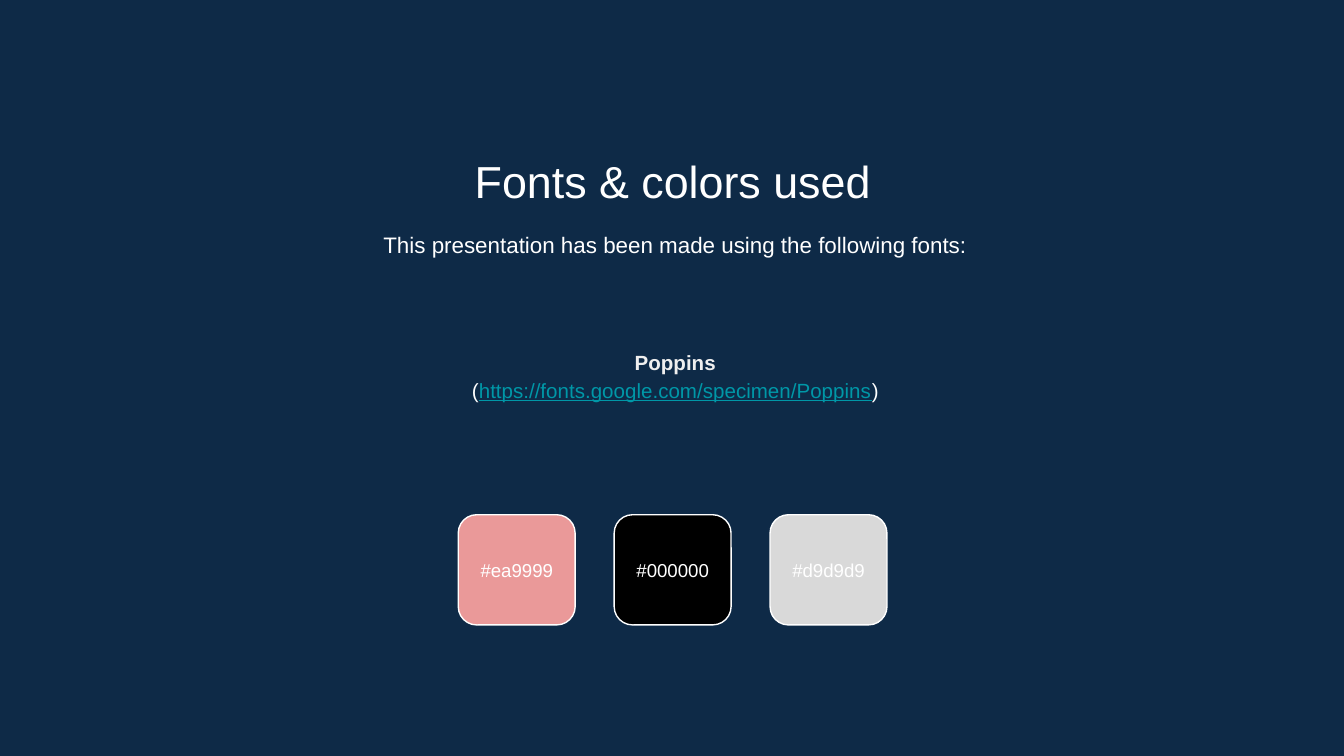
"""Build a centred slide listing the font and the colour swatches of a deck."""
from dataclasses import dataclass

from lxml.etree import SubElement
from pptx import Presentation
from pptx.dml.color import RGBColor as Color
from pptx.enum.shapes import MSO_SHAPE as Shape
from pptx.enum.text import MSO_ANCHOR as Anchor, MSO_AUTO_SIZE as AutoSize, PP_ALIGN as Align
from pptx.oxml.ns import qn
from pptx.util import Inches, Pt


@dataclass(frozen=True)
class Theme:
    font: str = "Arial"
    background: str = "0E2A47"
    text: str = "FFFFFF"
    name: str = "EFEFEF"
    link: str = "0097A7"
    title_size: int = 24
    intro_size: int = 12
    font_size: int = 11
    label_size: int = 10


def format_frame(box, size, anchor, spacing=1.0):
    frame = box.text_frame
    frame.word_wrap = True
    frame.auto_size = AutoSize.NONE
    frame.vertical_anchor = anchor
    frame.margin_left = frame.margin_right = Inches(0.1)
    frame.margin_top = frame.margin_bottom = Inches(0.1)
    for para in frame.paragraphs:
        para.alignment = Align.CENTER
        para.line_spacing = spacing
        para.space_before = Pt(0)
        if box.is_placeholder:
            properties = para._p.get_or_add_pPr()
            properties.set("marL", "0")
            properties.set("indent", "0")
            SubElement(properties, qn("a:buNone"))
        for span in para.runs:
            span.font.name = theme.font
            span.font.size = Pt(size)
            span.font.color.rgb = Color.from_string(theme.text)


def place(box, left, top, width, height):
    box.left, box.top = Inches(left), Inches(top)
    box.width, box.height = Inches(width), Inches(height)


theme = Theme()
slide_width = 10
deck = Presentation()
deck.slide_width, deck.slide_height = Inches(slide_width), Inches(slide_width * 9 / 16)
page = deck.slides.add_slide(deck.slide_layouts[3])
page.background.fill.solid()
page.background.fill.fore_color.rgb = Color.from_string(theme.background)

title, intro, fonts = page.placeholders
text_width = 7.71
place(title, 1.15, 1.04, text_width, 0.53)
title.text_frame.text = "Fonts & colors used"
format_frame(title, theme.title_size, Anchor.TOP)

place(intro, 1.17, 1.59, text_width, 0.48)
intro.text_frame.text = "This presentation has been made using the following fonts:"
format_frame(intro, theme.intro_size, Anchor.TOP, 1.15)

place(fonts, 1.17, 2.1, text_width, 1.37)
fonts.text_frame.text = "Poppins"
address = fonts.text_frame.add_paragraph()
for part in ("(", "https://fonts.google.com/specimen/Poppins", ")"):
    address.add_run().text = part
format_frame(fonts, theme.font_size, Anchor.MIDDLE, 1.15)
name_font = fonts.text_frame.paragraphs[0].runs[0].font
name_font.bold = True
name_font.color.rgb = Color.from_string(theme.name)
link_font = address.runs[1].font
link_font.underline = True
link_font.color.rgb = Color.from_string(theme.link)

swatch_width, swatch_height, label_height = 0.87, 0.82, 0.48
swatch_left, swatch_top, swatch_step = 3.41, 3.83, 1.16
label_top = swatch_top + (swatch_height - label_height) / 2
swatches = page.shapes.add_group_shape()
for column, code in enumerate(("#ea9999", "#000000", "#d9d9d9")):
    left = Inches(swatch_left + column * swatch_step)
    swatch = swatches.shapes.add_shape(
        Shape.ROUNDED_RECTANGLE, left, Inches(swatch_top), Inches(swatch_width), Inches(swatch_height))
    swatch.shadow.inherit = False
    swatch.fill.solid()
    swatch.fill.fore_color.rgb = Color.from_string(code[1:].upper())
    swatch.line.color.rgb = Color.from_string(theme.text)
    swatch.line.width = Pt(0.75)
    label = swatches.shapes.add_textbox(
        left, Inches(label_top), Inches(swatch_width), Inches(label_height))
    label.text_frame.text = code
    format_frame(label, theme.label_size, Anchor.MIDDLE)

deck.save("out.pptx")
